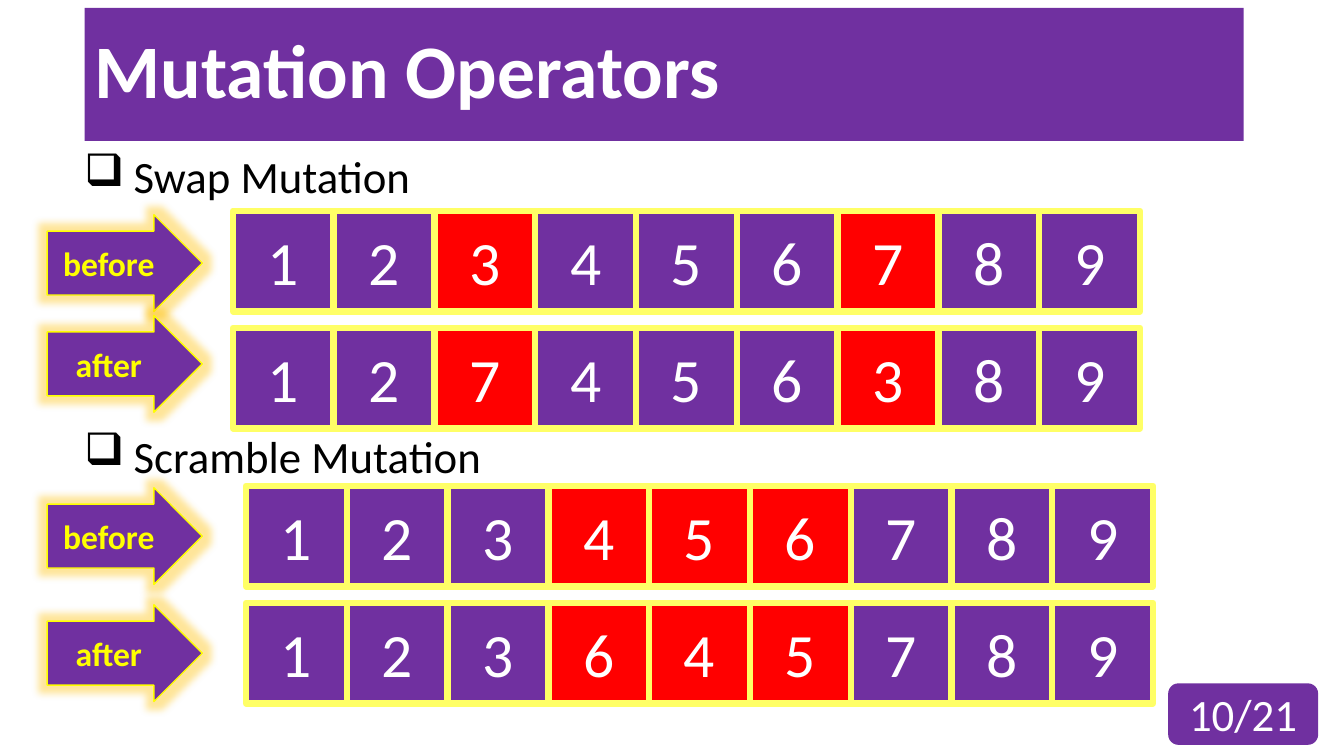
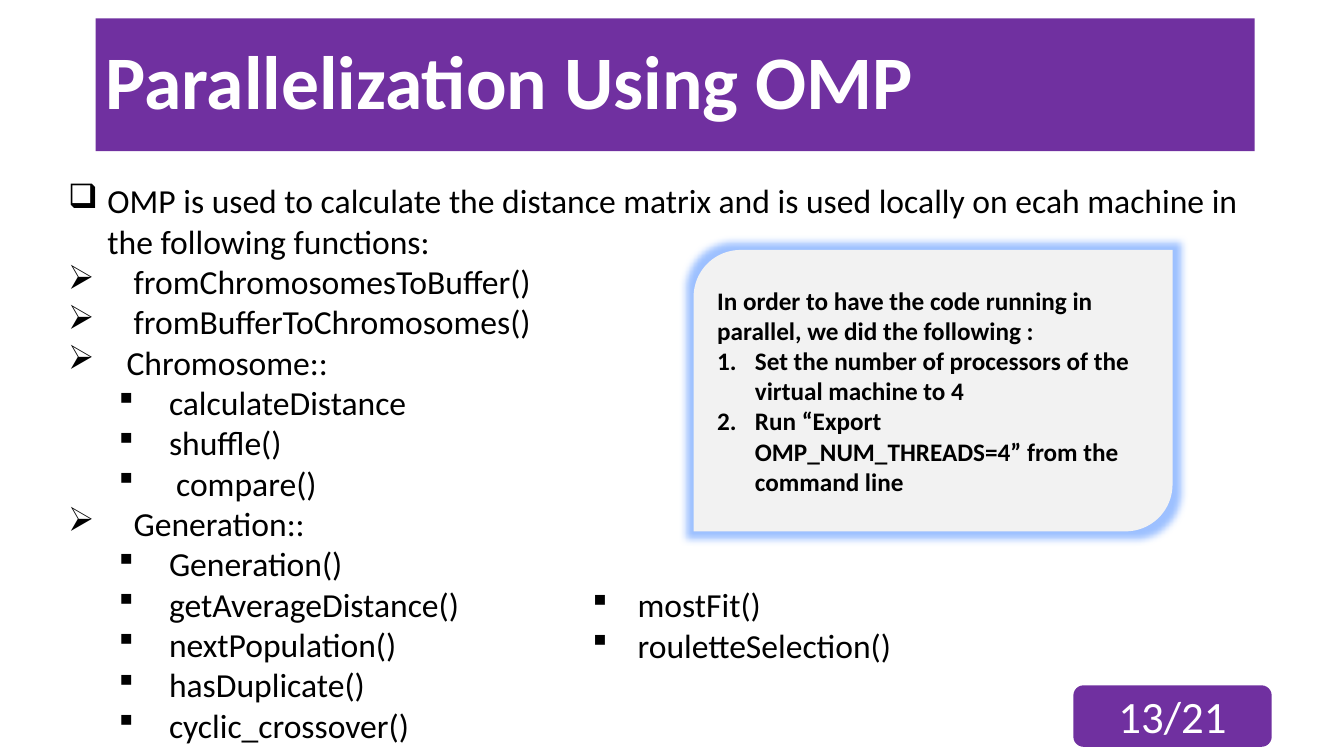
"""Build two slides on genetic mutation operators and OMP parallelization."""
import pptx
import pptx.dml.color
import pptx.enum.shapes
import pptx.enum.text
import pptx.oxml
import pptx.oxml.ns
import pptx.util

Cm = pptx.util.Cm
Pt = pptx.util.Pt
RGB = pptx.dml.color.RGBColor
SHAPE = pptx.enum.shapes.MSO_SHAPE
ALIGN = pptx.enum.text.PP_ALIGN
ANCHOR = pptx.enum.text.MSO_ANCHOR

FONT = "Calibri"
PURPLE = RGB(0x70, 0x30, 0xA0)
RED = RGB(0xFF, 0x00, 0x00)
CELL_EDGE = RGB(0xFF, 0xFF, 0x66)
YELLOW = RGB(0xFF, 0xFF, 0x00)
AMBER = RGB(0xFF, 0xC0, 0x00)
BLUE = RGB(0x3B, 0x82, 0xFF)
GREY = RGB(0xF2, 0xF2, 0xF2)
WHITE = RGB(0xFF, 0xFF, 0xFF)
BLACK = RGB(0x00, 0x00, 0x00)

CELL = 2.54
ROW_PITCH = 2.95
BOX, ARROW, SQUARE = "q", "Ø", "§"

MUTATIONS = [
    {"name": "Swap Mutation", "heading_top": 3.63, "left": 5.87, "top": 5.31,
     "changed": "37", "arrow_tops": (5.41, 7.95),
     "rows": ("123456789", "127456389")},
    {"name": "Scramble Mutation", "heading_top": 10.67, "left": 6.2, "top": 12.24,
     "changed": "456", "arrow_tops": (12.29, 15.24),
     "rows": ("123456789", "123645789")},
]
STAGES = ("before", "after")

FUNCTIONS = [
    (BOX, 0, 0.99, "OMP is used to calculate the distance matrix and is used "
                   "locally on ecah machine in the following functions:"),
    (ARROW, 0, 1.65, "fromChromosomesToBuffer()"),
    (ARROW, 0, 1.65, "fromBufferToChromosomes()"),
    (ARROW, 0, 1.47, "Chromosome::"),
    (SQUARE, 1.27, 2.54, "calculateDistance"),
    (SQUARE, 1.27, 2.54, "shuffle()"),
    (SQUARE, 1.27, 2.72, "compare()"),
    (ARROW, 0, 1.65, "Generation::"),
    (SQUARE, 1.27, 2.54, "Generation()"),
    (SQUARE, 1.27, 2.54, "getAverageDistance()"),
    (SQUARE, 1.27, 2.54, "nextPopulation()"),
    (SQUARE, 1.27, 2.54, "hasDuplicate()"),
    (SQUARE, 1.27, 2.54, "cyclic_crossover()"),
]
MORE_FUNCTIONS = [
    (SQUARE, 1.27, 2.41, "mostFit()"),
    (SQUARE, 1.27, 2.41, "rouletteSelection()"),
]
NOTE = [
    (None, 0, 0, "In order to have the code running in parallel, we did the following :"),
    ("1.", 0, 0.95, "Set the number of processors of the virtual machine to 4"),
    ("1.", 0, 0.95, "Run “Export OMP_NUM_THREADS=4” from the command line"),
]


def style(p, size, color, bold=False, align=ALIGN.LEFT):
    p.alignment = align
    for r in p.runs:
        r.font.name = FONT
        r.font.size = Pt(size)
        r.font.bold = bold
        r.font.color.rgb = color


def add_xml(parent, xml):
    ns = pptx.oxml.ns.nsdecls("a")
    parent.append(pptx.oxml.parse_xml(xml.replace(" ", f" {ns} ", 1)))


def set_bullet(p, mark, start, margin):
    pPr = p._p.get_or_add_pPr()
    pPr.set("marL", str(Cm(margin)))
    pPr.set("indent", str(Cm(start) - Cm(margin)))
    if mark == "1.":
        add_xml(pPr, '<a:buFont typeface="+mj-lt"/>')
        add_xml(pPr, '<a:buAutoNum type="arabicPeriod"/>')
    elif mark:
        add_xml(pPr, '<a:buFont typeface="Wingdings" charset="2"/>')
        add_xml(pPr, f'<a:buChar char="{mark}"/>')


def write_list(tf, items, size, bold=False):
    tf.word_wrap = True
    tf.text = "\n".join(item[-1] for item in items)
    for p, (mark, start, margin, _) in zip(tf.paragraphs, items):
        style(p, size, BLACK, bold)
        set_bullet(p, mark, start, margin)


def add_list(s, box, items, size, anchor=ANCHOR.TOP):
    tf = s.shapes.add_textbox(*map(Cm, box)).text_frame
    tf.vertical_anchor = anchor
    write_list(tf, items, size)


def add_block(s, kind, box, fill, edge=None, width=0):
    sp = s.shapes.add_shape(kind, *map(Cm, box))
    sp.shadow.inherit = False
    sp.fill.solid()
    sp.fill.fore_color.rgb = fill
    if edge is None:
        sp.line.fill.background()
    else:
        sp.line.color.rgb = edge
        sp.line.width = Pt(width)
    sp.text_frame.vertical_anchor = ANCHOR.MIDDLE
    return sp


def label(sp, text, size, color, bold=False):
    sp.text_frame.text = text
    style(sp.text_frame.paragraphs[0], size, color, bold, ALIGN.CENTER)


def add_glow(sp, color, alpha):
    effects = sp._element.spPr.find(pptx.oxml.ns.qn("a:effectLst"))
    add_xml(effects, f'<a:glow rad="{Cm(0.39)}"><a:srgbClr val="{color}">'
                     f'<a:alpha val="{alpha * 1000}"/></a:srgbClr></a:glow>')


def add_slide(prs, title, left, top, page, badge):
    s = prs.slides.add_slide(prs.slide_layouts[5])
    sp = s.shapes.title
    sp.left, sp.top, sp.width, sp.height = map(Cm, (left, top, 29.21, 3.35))
    sp.fill.solid()
    sp.fill.fore_color.rgb = PURPLE
    tf = sp.text_frame
    tf.text = title
    tf.auto_size = pptx.enum.text.MSO_AUTO_SIZE.NONE
    tf.vertical_anchor = ANCHOR.MIDDLE
    tf.paragraphs[0].line_spacing = 0.9
    style(tf.paragraphs[0], 54, WHITE, True)
    label(add_block(s, SHAPE.ROUNDED_RECTANGLE, badge, PURPLE), page, 32, WHITE)
    return s


def add_mutation(s, mutation):
    for i, genes in enumerate(mutation["rows"]):
        top = mutation["top"] + i * ROW_PITCH
        for j, gene in enumerate(genes):
            box = (mutation["left"] + j * CELL, top, CELL, CELL)
            fill = RED if gene in mutation["changed"] else PURPLE
            label(add_block(s, SHAPE.RECTANGLE, box, fill, CELL_EDGE, 4.5), gene, 44, WHITE)
    for stage, top in zip(STAGES, mutation["arrow_tops"]):
        sp = add_block(s, SHAPE.RIGHT_ARROW, (1.19, top, 3.91, 2.44), PURPLE, YELLOW, 1)
        sp.adjustments[0] = 0.66
        add_glow(sp, AMBER, 40)
        label(sp, stage, 24, YELLOW, True)
    add_list(s, (1.88, mutation["heading_top"], 14.73, 1.63),
             [(BOX, 0, 1.24, mutation["name"])], 32)


def main():
    prs = pptx.Presentation()
    prs.slide_width, prs.slide_height = Cm(33.87), Cm(19.05)

    s = add_slide(prs, "Mutation Operators", 2.13, 0.2, "10/21", (29.44, 17.22, 3.78, 1.55))
    for mutation in MUTATIONS:
        add_mutation(s, mutation)

    s = add_slide(prs, "Parallelization Using OMP", 2.41, 0.46, "13/21", (27.05, 17.27, 5, 1.55))
    add_list(s, (1.47, 4.42, 31.06, 14.63), FUNCTIONS, 24)
    add_list(s, (13.41, 12.65, 11.13, 6.17), MORE_FUNCTIONS, 24, ANCHOR.MIDDLE)
    sp = add_block(s, SHAPE.ROUND_2_DIAG_RECTANGLE, (17.48, 6.3, 12.07, 7.09), GREY)
    add_glow(sp, BLUE, 50)
    write_list(sp.text_frame, NOTE, 18, True)

    prs.save("out.pptx")


if __name__ == "__main__":
    main()
